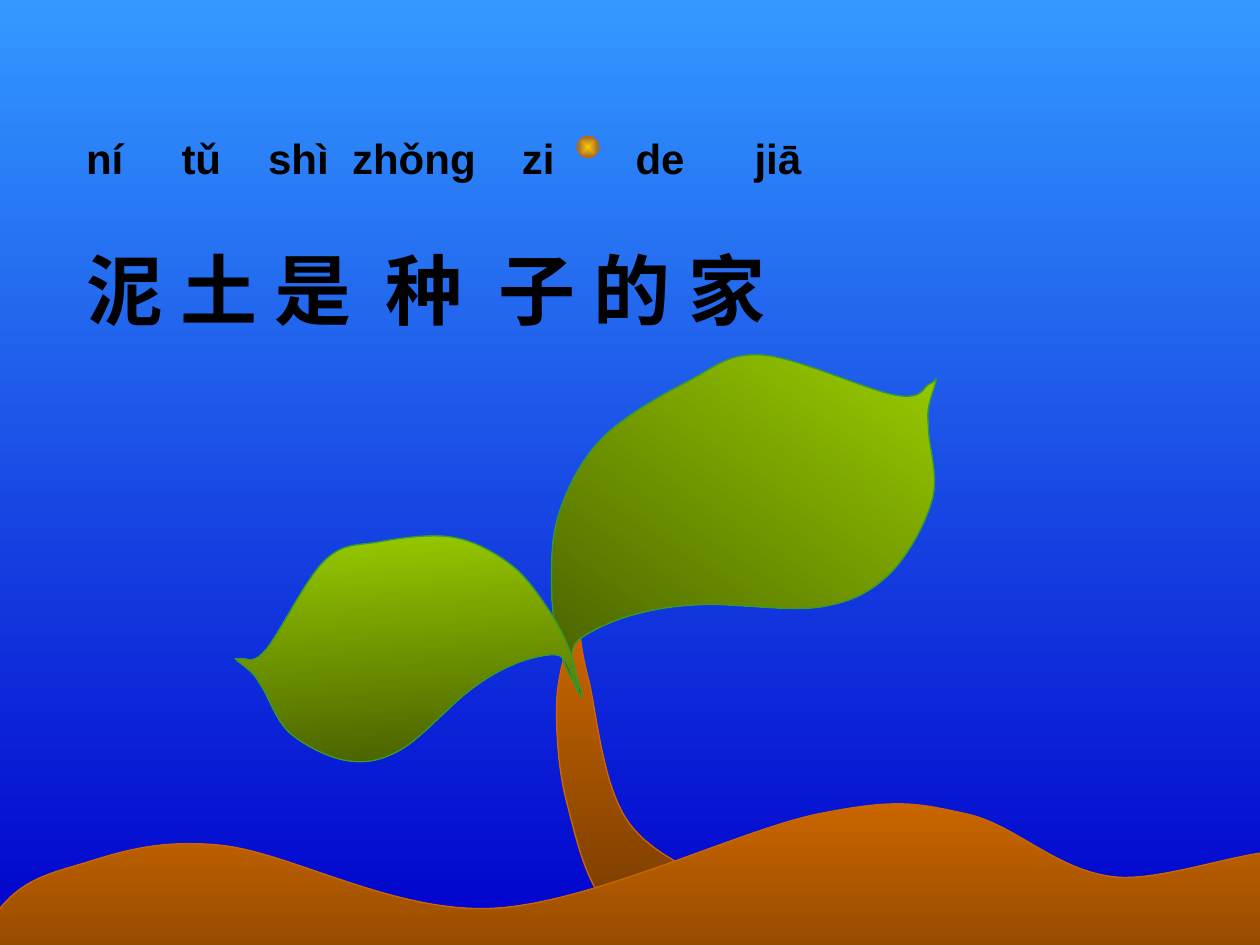
"""Build the slide about soil as the home of seeds, with a sprout below the title."""
from dataclasses import dataclass
from math import cos, radians, sin

from pptx import Presentation
from pptx.dml.color import RGBColor
from pptx.enum.shapes import MSO_SHAPE
from pptx.enum.text import MSO_ANCHOR, MSO_AUTO_SIZE, PP_ALIGN
from pptx.oxml.ns import qn
from pptx.oxml.xmlchemy import OxmlElement
from pptx.util import Pt

OVAL = MSO_SHAPE.OVAL
TOP = MSO_ANCHOR.TOP
FIXED = MSO_AUTO_SIZE.NONE
LEFT = PP_ALIGN.LEFT
TITLE_ONLY = 5
GRAIN = 100
CJK = "Noto Sans CJK SC"
COLORS = {
    "sky": "3399FF", "deep": "0000CC", "earth": "CC6600", "stem": "5E2F00",
    "soil": "7A3D00", "leaf": "99CC00", "shade": "465E00", "edge": "339933",
    "gold": "FFCC00", "tan": "996633", "ink": "000000",
}
Point = tuple[float, float]


@dataclass
class Paint:
    """A gradient from start to end, clockwise from the right, and a line."""
    start: str
    end: str
    line: str
    angle: int = 90


@dataclass
class Leaf:
    """The box, turn and light of one leaf."""
    left: float
    top: float
    width: float
    height: float
    turn: float
    angle: int
    mirror: bool = False


@dataclass
class Line:
    """A line of text whose syllables stand on tab stops."""
    words: str
    stops: list[float]
    font: str
    size: int
    gap: int


HILLS = [(0, 519), (42, 495), (126, 483), (282, 519), (468, 465),
         (552, 465), (636, 501), (750, 489)]
BASE = [(756, 573), (-24, 573)]
STEM_RIGHT = [(510, 537), (432, 513), (360, 471), (336, 387)]
STEM_TOP = [(330, 357)]
STEM_LEFT = [(324, 369), (318, 405), (324, 459), (348, 519)]
ROOT = [(408, 555), (468, 573)]

# Leaf parts, in percent of the leaf's box.
STALK = [(7.7, 56.9), (3.2, 60.4), (0.2, 74.3), (1.6, 57.1)]
BACK = [(7.5, 36.5), (17.7, 15.7), (34, 2.2), (55.7, 2.2), (71.9, 8.9),
        (90.8, 46.8)]
TIP = [(98.1, 50), (99.7, 50.1), (95.1, 56.8), (92.3, 63.9)]
BELLY = [(85, 84.6), (68.8, 98.1), (52.9, 94.5), (32.3, 70.8), (19.1, 60.4)]

RIGHT_LEAF = Leaf(288, 210, 270, 162, -33.5, 124)
LEFT_LEAF = Leaf(134, 306, 195, 129, -3.6, 86, mirror=True)
LINES = [
    Line("ní tǔ shì zhǒnɡ zi de jiā", [54.5, 104, 152, 249, 314, 382],
         "Arial", 24, 0),
    Line("泥 土 是 种 子 的 家", [54, 107.5, 171, 235.5, 290, 344],
         CJK, 44, 34),
]


def tint(name: str) -> RGBColor:
    """Look up a colour."""
    return RGBColor.from_string(COLORS[name])


def coat(shape, paint: Paint) -> None:
    """Give a shape or background its gradient, and a shape its thin line."""
    shape.fill.gradient()
    shape.fill.gradient_angle = 360 - paint.angle
    for stop, name in zip(shape.fill.gradient_stops, (paint.start, paint.end)):
        stop.color.rgb = tint(name)
    if paint.line:
        shape.line.color.rgb = tint(paint.line)
        shape.line.width = Pt(0.75)
        shape.shadow.inherit = False


def smooth(knots: list[Point]) -> list[Point]:
    """Return two handles and an end for each piece of a closed smooth curve.

    A handle lies a sixth of the way between the neighbours of its knot.
    """
    route = []
    count = len(knots)
    for i in range(count):
        prior, here, then, after = (knots[(i + k) % count] for k in (-1, 0, 1, 2))
        route.append(tuple(h + (t - p) / 6 for p, h, t in zip(prior, here, then)))
        route.append(tuple(t - (a - h) / 6 for h, t, a in zip(here, then, after)))
        route.append(then)
    return route


def draw_curve(slide, knots: list[Point], paint: Paint) -> None:
    """Draw a smooth closed outline through its knots."""
    first, *rest = [(x * GRAIN, y * GRAIN) for x, y in [knots[0], *smooth(knots)]]
    maker = slide.shapes.build_freeform(*first, scale=Pt(1) / GRAIN)
    maker.add_line_segments(rest, close=True)
    shape = maker.convert_to_shape()
    route = shape.element.find(".//" + qn("a:path"))
    parts = route.findall(qn("a:lnTo"))
    for i in range(0, len(parts), 3):
        bend = OxmlElement("a:cubicBezTo")
        parts[i].addprevious(bend)
        for part in parts[i:i + 3]:
            bend.append(part[0])
            route.remove(part)
    coat(shape, paint)


def draw_leaf(slide, leaf: Leaf) -> None:
    """Fit the common leaf into its box, mirror it if asked, and turn it."""
    mid_x, mid_y = leaf.left + leaf.width / 2, leaf.top + leaf.height / 2
    wide = -leaf.width if leaf.mirror else leaf.width
    c, s = cos(radians(leaf.turn)), sin(radians(leaf.turn))
    knots = []
    for u, v in STALK + BACK + TIP + BELLY:
        x, y = (u / 100 - 0.5) * wide, (v / 100 - 0.5) * leaf.height
        knots.append((mid_x + x * c - y * s, mid_y + x * s + y * c))
    draw_curve(slide, knots, Paint("leaf", "shade", "edge", leaf.angle))


def draw_seed(slide) -> None:
    """Draw the seed with a gradient from its centre."""
    seed = slide.shapes.add_shape(OVAL, Pt(330), Pt(78), Pt(12), Pt(12))
    coat(seed, Paint("gold", "tan", "earth"))
    glow = OxmlElement("a:path")
    glow.set("path", "rect")
    focus = OxmlElement("a:fillToRect")
    for side in "ltrb":
        focus.set(side, "50000")
    glow.append(focus)
    lin = seed.element.spPr.find(".//" + qn("a:lin"))
    lin.getparent().replace(lin, glow)


def write_line(para, line: Line) -> None:
    """Write one line of the title."""
    para.text = "\t".join(line.words.split())
    para.alignment = LEFT
    para.space_before = Pt(line.gap)
    props = para._p.get_or_add_pPr()
    tabs = OxmlElement("a:tabLst")
    for stop in line.stops:
        tab = OxmlElement("a:tab")
        tab.set("pos", str(Pt(stop)))
        tab.set("algn", "l")
        tabs.append(tab)
    props.append(tabs)
    font = para.font
    font.name, font.size, font.bold = line.font, Pt(line.size), True
    font.color.rgb = tint("ink")
    asian = OxmlElement("a:ea")
    asian.set("typeface", CJK)
    props.find(qn("a:defRPr")).find(qn("a:latin")).addnext(asian)


def write_title(title) -> None:
    """Place the title and fill in its lines."""
    title.left, title.top, title.width, title.height = map(Pt, (42, 72, 540, 124))
    frame = title.text_frame
    frame.word_wrap = True
    frame.auto_size = FIXED
    frame.vertical_anchor = TOP
    for i, line in enumerate(LINES):
        write_line(frame.add_paragraph() if i else frame.paragraphs[0], line)


def main() -> None:
    """Build and save the slide."""
    deck = Presentation()
    deck.slide_width, deck.slide_height = Pt(720), Pt(540)
    slide = deck.slides.add_slide(deck.slide_layouts[TITLE_ONLY])
    coat(slide.background, Paint("sky", "deep", ""))
    draw_curve(slide, STEM_RIGHT + STEM_TOP + STEM_LEFT + ROOT,
               Paint("earth", "stem", "earth"))
    draw_leaf(slide, RIGHT_LEAF)
    draw_curve(slide, HILLS + BASE, Paint("earth", "soil", "earth"))
    draw_leaf(slide, LEFT_LEAF)
    draw_seed(slide)
    write_title(slide.shapes.title)
    deck.save("out.pptx")


if __name__ == "__main__":
    main()
